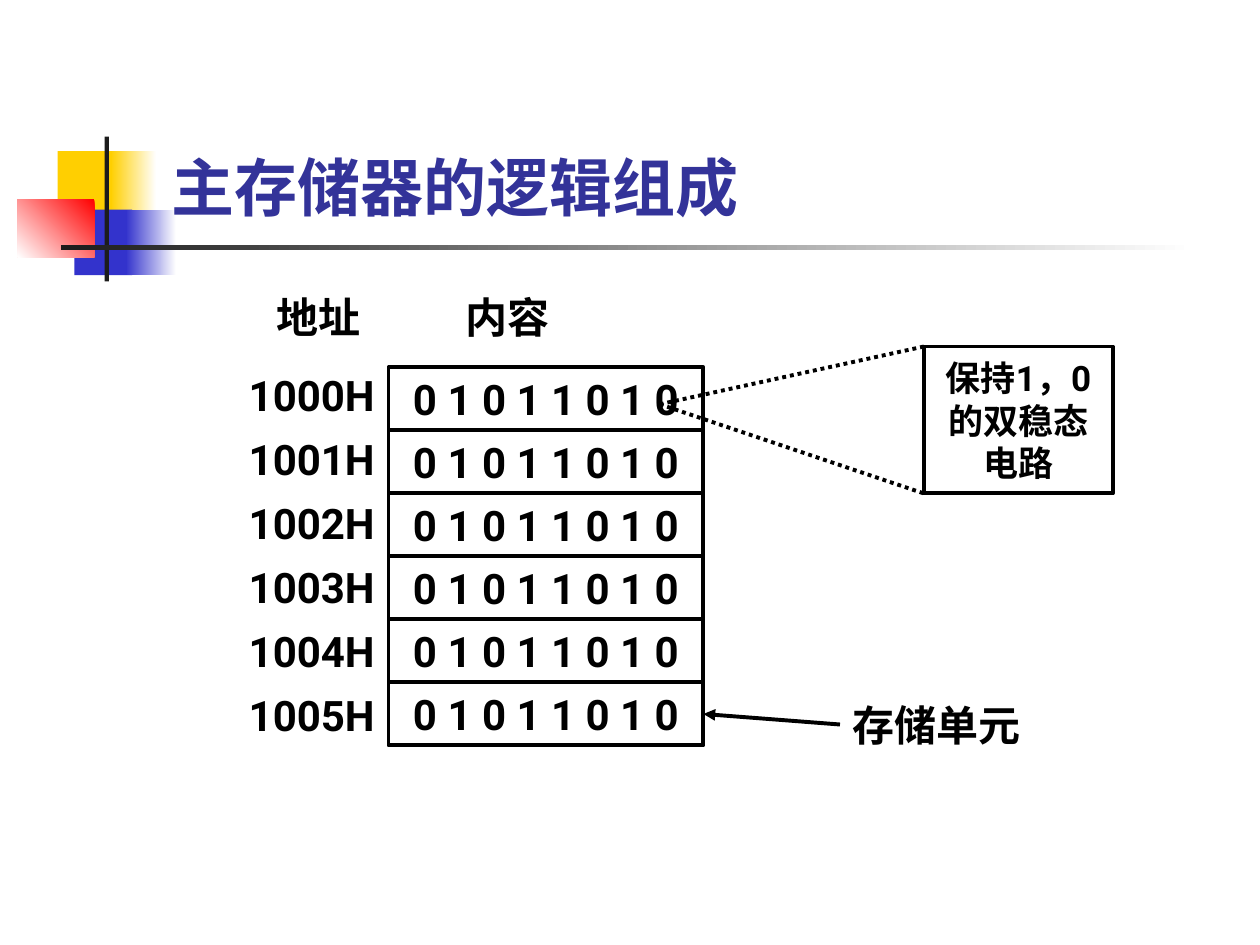
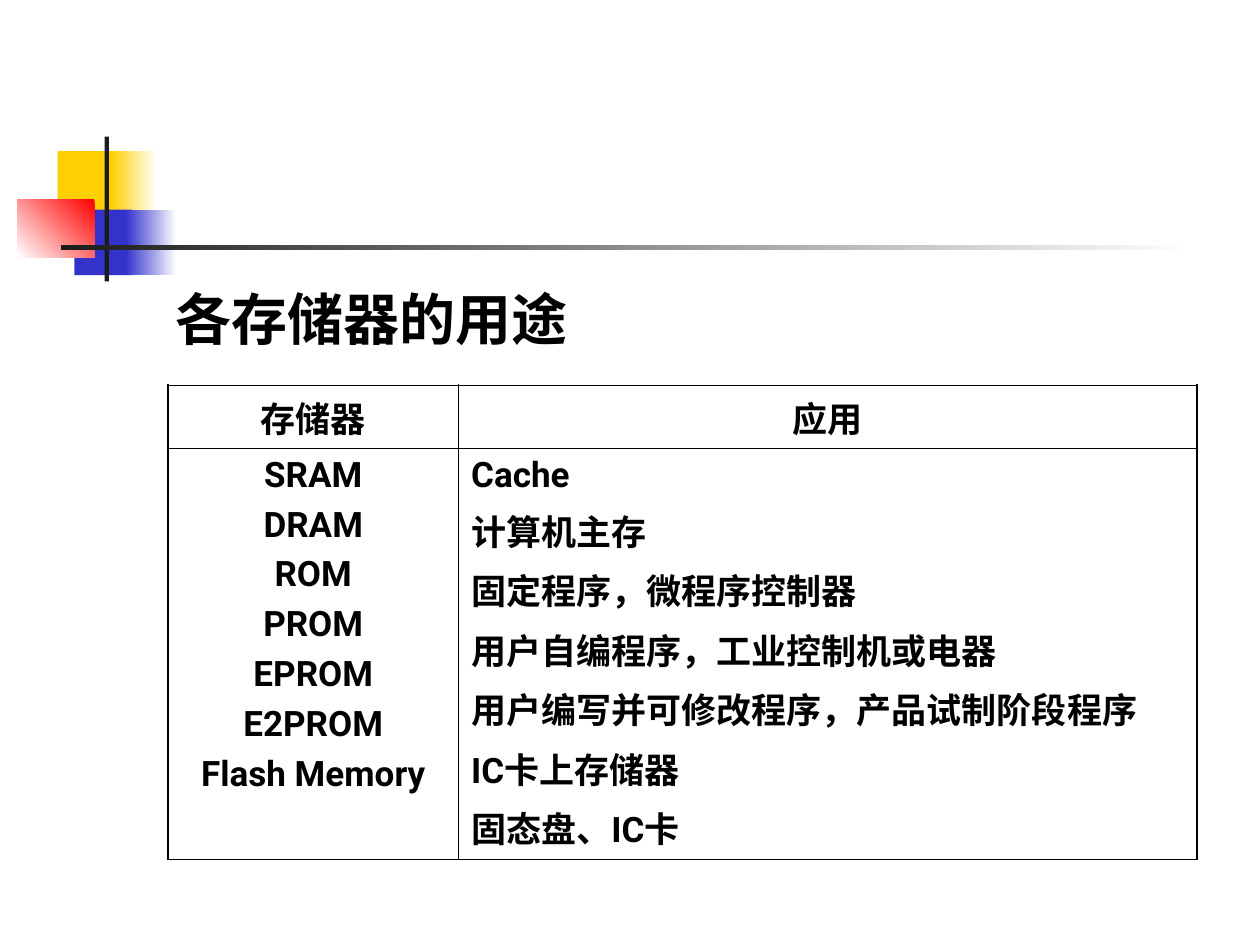
from lxml import etree
from pptx import Presentation
from pptx.dml.color import RGBColor
from pptx.enum.dml import MSO_LINE
from pptx.enum.shapes import MSO_CONNECTOR, MSO_SHAPE
from pptx.enum.text import MSO_ANCHOR, PP_ALIGN
from pptx.oxml.ns import qn
from pptx.util import Pt

RECT = MSO_SHAPE.RECTANGLE
STRAIGHT = MSO_CONNECTOR.STRAIGHT
DOTS = MSO_LINE.ROUND_DOT
TOP, MIDDLE, BOTTOM = MSO_ANCHOR.TOP, MSO_ANCHOR.MIDDLE, MSO_ANCHOR.BOTTOM
LEFT, CENTER = PP_ALIGN.LEFT, PP_ALIGN.CENTER

BODY, HEAD = "Roboto", "Times New Roman"
BLACK, WHITE, NAVY = "000000", "FFFFFF", "333399"
GOLD, BLUE, RED, DARK = "FFCF01", "3333CC", "FF0000", "1C1C1C"

# left, top, width, height, start colour, end colour, angle (anticlockwise)
BANDS = [
    (33, 86.4, 34.6, 37.4, GOLD, None, 0),
    (63.4, 86.4, 25.9, 37.4, WHITE, GOLD, 180),
    (42.5, 119.8, 33.1, 37.4, BLUE, None, 0),
    (72, 119.8, 28.8, 37.4, WHITE, BLUE, 180),
    (10, 113.8, 44, 33.1, RED, WHITE, 225),
    (59.8, 78, 2.4, 82.8, DARK, None, 0),
    (34.6, 140.2, 648, 2.4, WHITE, DARK, 180),
]

TITLE = "主存储器的逻辑组成"
HEADS = [("地址", 151), ("内容", 259)]
ROWS = ["1000H", "1001H", "1002H", "1003H", "1004H", "1005H"]
BITS = "0 1 0 1 1 0 1 0"
NOTE = ["保持1，0", "的双稳态", "电路"]
UNIT = "存储单元"

USES = "各存储器的用途"
HEADER = ["存储器", "应用"]
MEMORY = [
    ("SRAM", "Cache"),
    ("DRAM", "计算机主存"),
    ("ROM", "固定程序，微程序控制器"),
    ("PROM", "用户自编程序，工业控制机或电器"),
    ("EPROM", "用户编写并可修改程序，产品试制阶段程序"),
    ("E2PROM", "IC卡上存储器"),
    ("Flash Memory", "固态盘、IC卡"),
]


def rgb(code):
    return RGBColor.from_string(code)


def pts(*sizes):
    return [Pt(size) for size in sizes]


def write(frame, lines, size, color=BLACK, font=BODY, align=LEFT, gap=0, pitch=None):
    """Fill a text frame, one paragraph a line, with gap points between."""
    for i, line in enumerate(lines):
        para = frame.add_paragraph() if i else frame.paragraphs[0]
        para.text = line
        para.alignment = align
        para.space_before = Pt(gap if i else 0)
        if pitch:
            para.line_spacing = pitch
        para.font.name = font
        para.font.size = Pt(size)
        para.font.bold = True
        para.font.color.rgb = rgb(color)


def label(slide, box, lines, size, anchor=TOP, **style):
    text = slide.shapes.add_textbox(*pts(*box))
    text.text_frame.word_wrap = True
    text.text_frame.vertical_anchor = anchor
    write(text.text_frame, lines, size, **style)
    return text


def block(slide, box):
    shape = slide.shapes.add_shape(RECT, *pts(*box))
    shape.shadow.inherit = False
    return shape


def frame(slide, box, lines, size):
    """Draw an outlined box with centred text."""
    shape = block(slide, box)
    shape.fill.background()
    shape.line.color.rgb = rgb(BLACK)
    shape.line.width = Pt(2.25)
    shape.text_frame.word_wrap = False
    shape.text_frame.vertical_anchor = MIDDLE
    write(shape.text_frame, lines, size, align=CENTER)
    return shape


def link(slide, start, end):
    line = slide.shapes.add_connector(STRAIGHT, *pts(*start, *end))
    line.line.color.rgb = rgb(BLACK)
    line.line.width = Pt(2.25)
    etree.SubElement(line._element.spPr, qn("a:effectLst"))
    return line


def start(deck):
    """Add a slide with the shared corner blocks and rule."""
    slide = deck.slides.add_slide(deck.slide_layouts[6])
    for *box, first, last, angle in BANDS:
        shape = block(slide, box)
        shape.line.fill.background()
        if last is None:
            shape.fill.solid()
            shape.fill.fore_color.rgb = rgb(first)
            continue
        shape.fill.gradient()
        shape.fill.gradient_angle = angle
        for stop, color in zip(shape.fill.gradient_stops, (first, last)):
            stop.color.rgb = rgb(color)
    return slide


def border(cell, widths):
    """Set the left, right, top and bottom border widths."""
    props = cell._tc.get_or_add_tcPr()
    for side, width in zip("LRTB", widths):
        edge = etree.SubElement(props, qn(f"a:ln{side}"), w=str(Pt(width)))
        fill = etree.SubElement(edge, qn("a:solidFill"))
        etree.SubElement(fill, qn("a:srgbClr"), val=BLACK)


def logic(deck):
    slide = start(deck)
    label(slide, (90.7, 16.6, 613, 115), [TITLE], 36, BOTTOM, color=NAVY, font=HEAD)
    left, top, width, high = 222, 210, 180, 36
    cells = [frame(slide, (left, top + i * high, width, high), [BITS], 24)
             for i in range(len(ROWS))]

    x, y, wide, tall = 528, 198, 108, 84
    frame(slide, (x, y, wide, tall), NOTE, 20)
    for corner in (y, y + tall):
        link(slide, (377, 231), (x, corner)).line.dash_style = DOTS

    label(slide, (135, 214.2, 96, 212), ROWS, 24, gap=15, pitch=0.75)
    for text, x in HEADS:
        label(slide, (x, 163, 96, 36), [text], 24)
    unit = label(slide, (480, 396, 192, 36), [UNIT], 24)
    arrow = link(slide, (480, 414), (402, 408))
    arrow.begin_connect(unit, 1)
    arrow.end_connect(cells[-1], 3)
    etree.SubElement(arrow.line._get_or_add_ln(), qn("a:tailEnd"), type="triangle")


def uses(deck):
    slide = start(deck)
    label(slide, (93, 159, 612, 50), [USES], 32)
    widths, heights = (166, 422), (36, 235)
    box = pts(96, 220.2, sum(widths), sum(heights))
    table = slide.shapes.add_table(2, 2, *box).table
    table.first_row = table.horz_banding = False
    for col, width in zip(table.columns, widths):
        col.width = Pt(width)
    for row, height in zip(table.rows, heights):
        row.height = Pt(height)
    thick, thin = 1.08, 0.45
    for c, lines in enumerate(zip(*MEMORY)):
        for r, text in enumerate(([HEADER[c]], lines)):
            cell = table.cell(r, c)
            align = LEFT if r and c else CENTER
            write(cell.text_frame, text, 20, align=align, gap=5)
            sides = (thin, thick) if c else (thick, thin)
            ends = (thin, thick) if r else (thick, thin)
            border(cell, sides + ends)
            cell.fill.background()


def main():
    deck = Presentation()
    deck.slide_width, deck.slide_height = pts(720, 540)
    logic(deck)
    uses(deck)
    deck.save("out.pptx")


if __name__ == "__main__":
    main()
